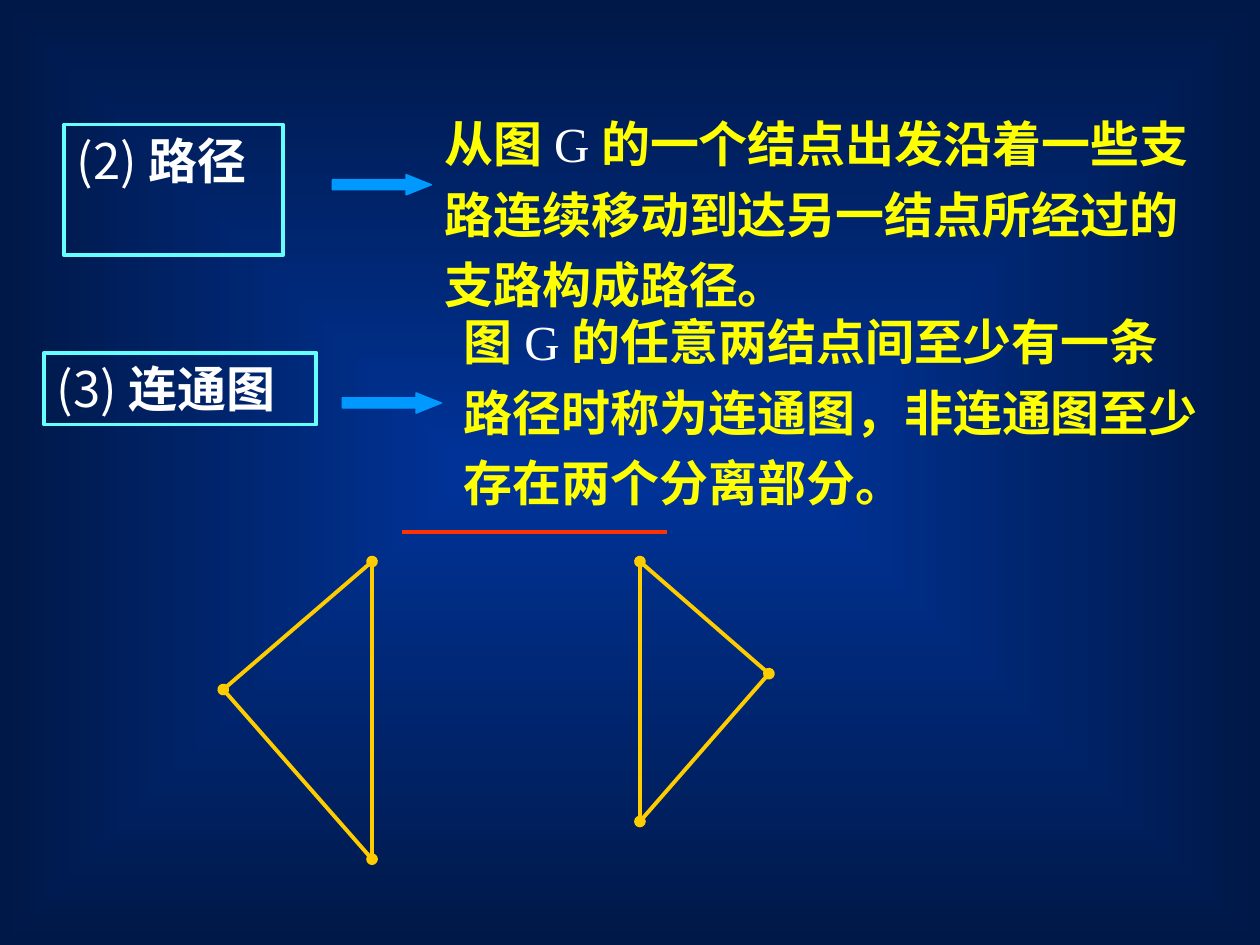
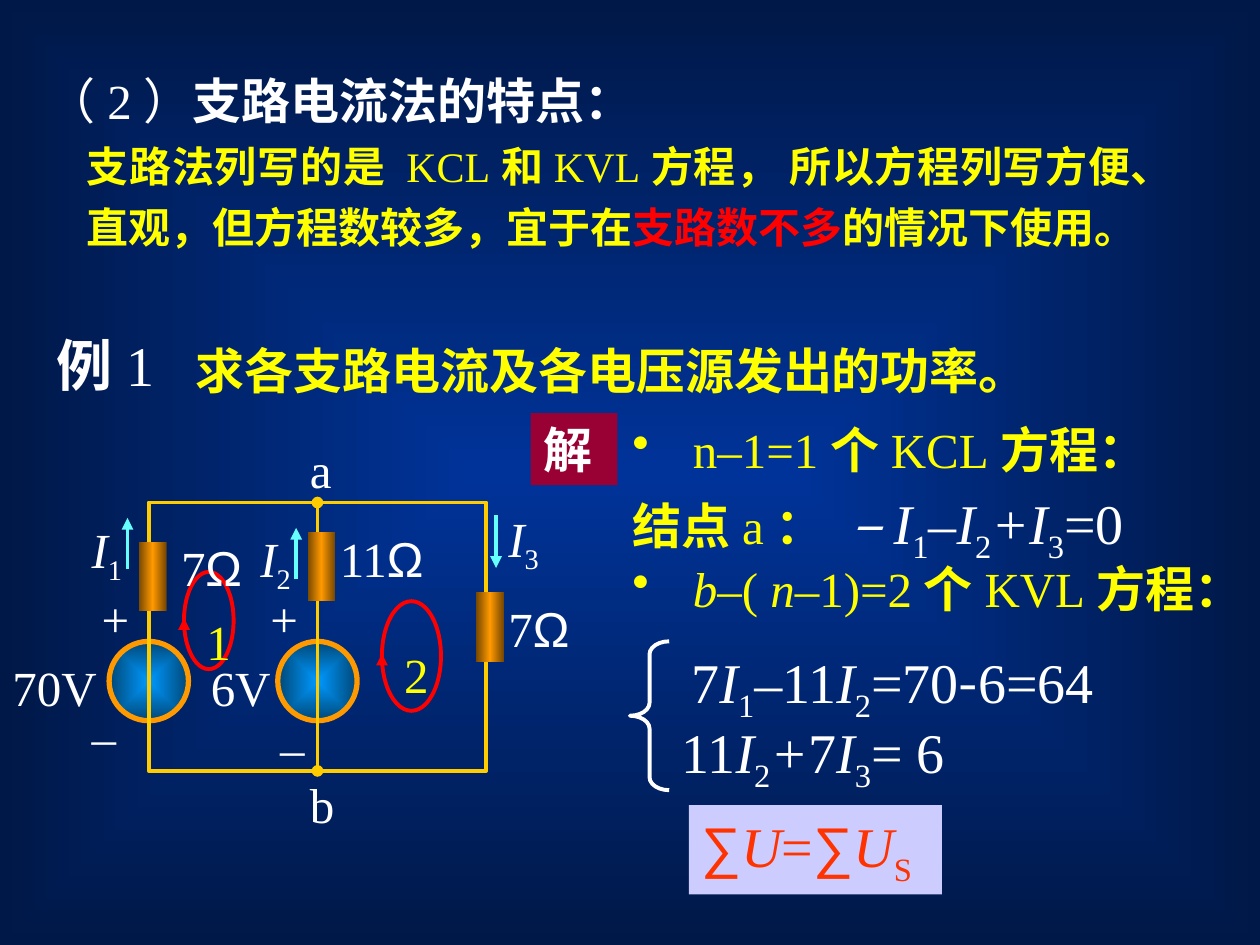
import pptx
import pptx.dml.color
import pptx.enum.shapes
import pptx.enum.text
import pptx.oxml
import pptx.oxml.ns
import pptx.util
from pptx.util import Cm

SHAPE = pptx.enum.shapes.MSO_SHAPE
ALIGN = pptx.enum.text.PP_ALIGN
qn = pptx.oxml.ns.qn

COLORS = {
    "glow": "003399", "night": "001847",
    "white": "FFFFFF", "yellow": "FFFF00", "red": "FF0000",
    "cyan": "66FFFF", "arrow": "0099FF", "wire": "FFCC00",
    "rule": "FF3300", "answer": "990033", "formula": "CCCCFF",
    "source_rim": "FF9900", "source_edge": "004776", "resistor_edge": "764700",
}
HAN = "Noto Sans CJK SC"
TIMES = "Times New Roman"
BOLD = {"bold": True}
ITALIC = {"italic": True}
LATIN = {"font": TIMES, "bold": False}
WHITE_LATIN = {**LATIN, "color": "white"}
OHM = ("Ω", {"font": "Arial"})
SUM = ("∑", {"font": "Arial"})


def rgb(name):
    return pptx.dml.color.RGBColor.from_string(COLORS[name])


def add_element(parent, tag, **attributes):
    child = parent.makeelement(qn(tag), attributes)
    parent.append(child)
    return child


def variable(letter, index):
    """Spans of an italic letter with an upright subscript."""
    return [(letter, ITALIC), (index, {"subscript": True})]


def add_span(para, text, size, color, font, bold=False, italic=False, subscript=False):
    span = para.add_run()
    span.text = text
    span.font.name = font
    span.font.size = pptx.util.Pt(size)
    span.font.bold = bold
    span.font.italic = italic
    span.font.color.rgb = rgb(color)
    properties = span.font._element
    add_element(properties, "a:ea", typeface=HAN)
    if subscript:
        properties.set("baseline", "-25000")


def write(box, spans, size=28, color="white", font=TIMES, bold=False,
          align=ALIGN.LEFT, spacing=None, bullet=False, tab=None):
    """Fill a box with one paragraph; a span is a string or (string, format)."""
    frame = box.text_frame
    frame.word_wrap = True
    frame.auto_size = pptx.enum.text.MSO_AUTO_SIZE.NONE
    frame.vertical_anchor = pptx.enum.text.MSO_ANCHOR.TOP
    para = frame.paragraphs[0]
    para.alignment = align
    if spacing:
        para.line_spacing = spacing
    properties = para._p.get_or_add_pPr()
    if bullet:
        properties.set("marL", str(Cm(1.22)))
        properties.set("indent", str(-Cm(1.22)))
        tint = add_element(properties, "a:buClr")
        add_element(tint, "a:srgbClr", val=COLORS[color])
        add_element(properties, "a:buChar", char="•")
    if tab:
        stops = add_element(properties, "a:tabLst")
        add_element(stops, "a:tab", pos=str(Cm(tab)), algn="l")
    base = {"size": size, "color": color, "font": font, "bold": bold}
    for span in spans:
        text, changes = (span, {}) if isinstance(span, str) else span
        add_span(para, text, **{**base, **changes})


def add_text(page, left, top, width, height, spans, **style):
    box = page.shapes.add_textbox(Cm(left), Cm(top), Cm(width), Cm(height))
    write(box, spans, **style)
    return box


def add_figure(page, kind, left, top, width, height, fill=None, line=None, weight=2.25):
    figure = page.shapes.add_shape(kind, Cm(left), Cm(top), Cm(width), Cm(height))
    figure.shadow.inherit = False
    if fill:
        figure.fill.solid()
        figure.fill.fore_color.rgb = rgb(fill)
    else:
        figure.fill.background()
    if line:
        figure.line.color.rgb = rgb(line)
        figure.line.width = pptx.util.Pt(weight)
    else:
        figure.line.fill.background()
    return figure


def paint_gradient(fill, element, names, from_center=True):
    """Spread the named colours evenly, from the centre or from left to right."""
    fill.gradient()
    gradient = element.find(".//" + qn("a:gradFill"))
    for child in list(gradient):
        gradient.remove(child)
    stops = add_element(gradient, "a:gsLst")
    for index, name in enumerate(names):
        position = 100000 * index // (len(names) - 1)
        stop = add_element(stops, "a:gs", pos=str(position))
        add_element(stop, "a:srgbClr", val=COLORS[name])
    if from_center:
        shade = add_element(gradient, "a:path", path="rect")
        add_element(shade, "a:fillToRect", **dict.fromkeys("ltrb", "50000"))
    else:
        add_element(gradient, "a:lin", ang="0", scaled="1")


def add_line(page, start, end, color, head=None, tail=None):
    line = page.shapes.add_connector(
        pptx.enum.shapes.MSO_CONNECTOR.STRAIGHT, *(Cm(value) for value in (*start, *end)))
    line.line.color.rgb = rgb(color)
    line.line.width = pptx.util.Pt(2.25)
    stroke = line.line._get_or_add_ln()
    for tag, ending in (("a:headEnd", head), ("a:tailEnd", tail)):
        if ending:
            add_element(stroke, tag, type=ending)
    add_element(line._element.spPr, "a:effectLst")


def add_term(page, left, top, width, height, number, name):
    frame = add_figure(page, SHAPE.RECTANGLE, left, top, width, height, line="cyan")
    write(frame, [number, (name, BOLD)], font=HAN)


def add_block_arrow(page, left, top):
    arrow = add_figure(page, SHAPE.RIGHT_ARROW, left, top, 2, 0.41, "arrow", "arrow", 0.75)
    arrow.adjustments[1] = 1.25


def add_triangle_graph(page, *nodes):
    for start, end in zip(nodes, nodes[1:] + nodes[:1]):
        add_line(page, start, end, "wire", head="oval")


def add_loop(page, number, left, top, width, height):
    add_figure(page, SHAPE.OVAL, left, top, width, height, line="red")
    add_text(page, left + 0.2, top + 0.34 * height, 0.8, 1.45, [number], color="yellow")
    middle = top + height / 2
    add_line(page, (left, middle + 0.05), (left, middle - 0.05), "red", tail="triangle")


def add_circuit(page):
    branches = [3, 6.4, 9.8]
    top, bottom = 10.13, 15.54
    for x in branches[:2]:
        source = add_figure(page, SHAPE.OVAL, x - 0.8, 12.93, 1.6, 1.6,
                            line="source_rim", weight=3)
        paint_gradient(source.fill, source._element, ["arrow", "source_edge"])

    labels = [
        (0, 13.13, 2.4, ["70V"]), (4, 13.13, 3, ["6V"]),
        (10, 11.94, 3.4, ["7", OHM]), (3.4, 10.72, 2.6, ["7", OHM]),
        (6.6, 10.52, 2.4, ["11", OHM]),
        (6, 8.74, 1, ["a"]), (6, 15.49, 1, ["b"]),
        (1.8, 11.73, 1, ["+"]), (1.6, 14.12, 1, ["–"]),
        (5.2, 11.73, 1, ["+"]), (5.4, 14.33, 1, ["–"]),
        (1.6, 10.34, 1.25, variable("I", "1")),
        (5, 10.52, 1.25, variable("I", "2")),
        (10, 10.13, 1.65, variable("I", "3")),
    ]
    for left, label_top, width, spans in labels:
        add_text(page, left, label_top, width, 1.45, spans)

    for x, start, end in ((2.57, 11.48, 10.44), (5.97, 11.68, 10.64), (10, 10.39, 11.45)):
        add_line(page, (x, start), (x, end), "cyan", tail="triangle")

    add_figure(page, SHAPE.RECTANGLE, branches[0], top,
               branches[2] - branches[0], bottom - top, line="wire")
    add_line(page, (branches[1], top), (branches[1], bottom), "wire", "oval", "oval")
    for x, resistor_top in zip(branches, (10.92, 10.72, 11.94)):
        resistor = add_figure(page, SHAPE.RECTANGLE, x - 0.2, resistor_top, 0.56, 1.4)
        paint_gradient(resistor.fill, resistor._element,
                       ["resistor_edge", "source_rim", "resistor_edge"], from_center=False)


def build_graph_page(deck):
    page = deck.slides.add_slide(deck.slide_layouts[6])
    definition = {"color": "yellow", "font": HAN, "bold": True, "spacing": 1.2}
    graph = ("G", WHITE_LATIN)
    add_text(page, 8.71, 1.93, 15.8, 4.52, [
        "从图", graph,
        "的一个结点出发沿着一些支路连续移动到达另一结点所经过的支路构成路径。"], **definition)
    add_term(page, 1.3, 2.51, 4.4, 2.64, "(2)", "路径")
    add_block_arrow(page, 6.7, 3.52)
    add_term(page, 0.89, 7.11, 5.49, 1.45, "(3)", "连通图")
    add_text(page, 9.1, 5.92, 15.4, 4.52, [
        "图", graph,
        "的任意两结点间至少有一条路径时称为连通图，非连通图至少存在两个分离部分。"],
        **definition)
    add_block_arrow(page, 6.9, 7.92)
    add_triangle_graph(page, (7.5, 11.32), (4.5, 13.9), (7.5, 17.32))
    add_triangle_graph(page, (12.9, 11.32), (15.5, 13.58), (12.9, 16.56))
    add_line(page, (8.1, 10.72), (13.44, 10.72), "rule")


def build_example_page(deck):
    page = deck.slides.add_slide(deck.slide_layouts[5])
    title = page.shapes.title
    title.left, title.top, title.width, title.height = Cm(0.69), Cm(1.3), Cm(13.4), Cm(1.45)
    write(title, ["（2）", ("支路电流法的特点：", BOLD)])
    add_text(page, 1.5, 2.51, 22.4, 3.9, [
        "支路法列写的是 ", ("KCL", LATIN), "和", ("KVL", LATIN),
        "方程， 所以方程列写方便、直观，但方程数较多，宜于在",
        ("支路数不多", {"color": "red"}), "的情况下使用。"],
        size=24, color="yellow", font=HAN, bold=True, spacing=1.2, align=ALIGN.JUSTIFY)
    add_text(page, 0.89, 6.53, 3.2, 1.63, [("例", BOLD), "1"], size=32)
    add_text(page, 3.7, 6.73, 20.2, 1.45, ["求各支路电流及各电压源发出的功率。"],
             color="yellow", bold=True)

    add_loop(page, "1", 3.71, 11.53, 1, 1.96)
    add_loop(page, "2", 7.7, 12.12, 1.19, 2.21)

    answer = add_figure(page, SHAPE.RECTANGLE, 10.7, 8.33, 1.75, 1.45, fill="answer")
    write(answer, ["解"], bold=True)
    add_text(page, 12.5, 8.33, 11, 1.45, [
        "n–1=1", ("个", BOLD), "KCL", ("方程：", BOLD)], color="yellow", bullet=True)
    yellow = {"size": 28, "color": "yellow"}
    add_text(page, 12.5, 9.73, 11.2, 1.8, [
        ("结点", {**yellow, **BOLD}), ("a", yellow), ("：\t", {**yellow, **BOLD}),
        ("–", ITALIC), *variable("I", "1"), "–", *variable("I", "2"),
        ("+", ITALIC), *variable("I", "3"), "=0"], size=32, tab=4.39)
    add_text(page, 12.5, 11.13, 12.9, 1.45, [
        ("b", ITALIC), "–( ", ("n", ITALIC), "–1)=2", ("个", BOLD), "KVL", ("方程：", BOLD)],
        color="yellow", bullet=True)
    add_text(page, 13.49, 14.33, 7, 1.8, [
        "11", *variable("I", "2"), ("+", ITALIC), "7", *variable("I", "3"), "= 6"], size=32)
    add_text(page, 13.69, 12.93, 9.4, 1.8, [
        "7", *variable("I", "1"), ("–", ITALIC), "11", *variable("I", "2"),
        "=70", ("-", {"font": HAN}), "6=64"], size=32)
    brace = add_figure(page, SHAPE.LEFT_BRACE, 12.7, 12.93, 0.79, 3, line="white")
    brace.adjustments[0] = 0.33
    formula = add_figure(page, SHAPE.RECTANGLE, 13.89, 16.23, 5.1, 1.8, fill="formula")
    write(formula, [SUM, ("U", ITALIC), "=", SUM, *variable("U", "S")],
          size=32, color="rule")
    add_circuit(page)


def main():
    deck = pptx.Presentation()
    deck.slide_width, deck.slide_height = Cm(25.4), Cm(19.05)
    master = deck.slide_master
    paint_gradient(master.background.fill, master.element, ["glow", "night"])
    build_graph_page(deck)
    build_example_page(deck)
    deck.save("out.pptx")


if __name__ == "__main__":
    main()
